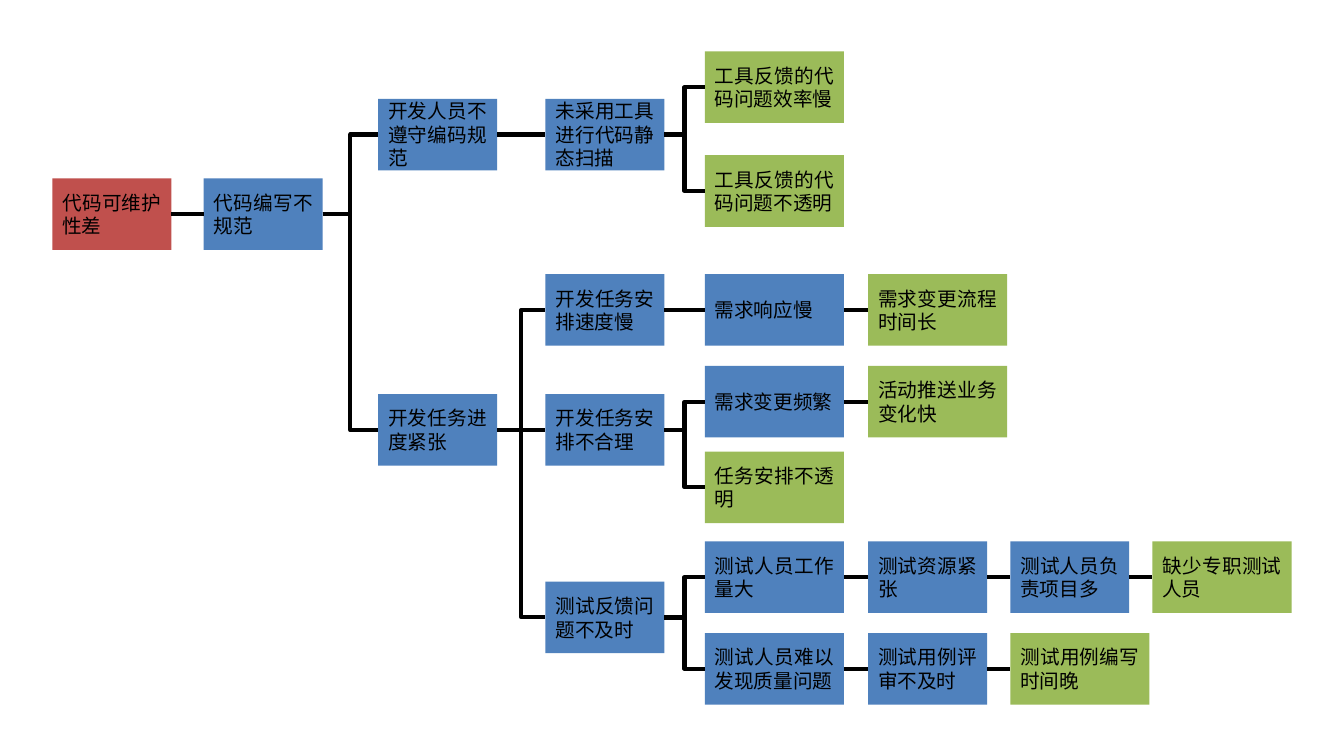
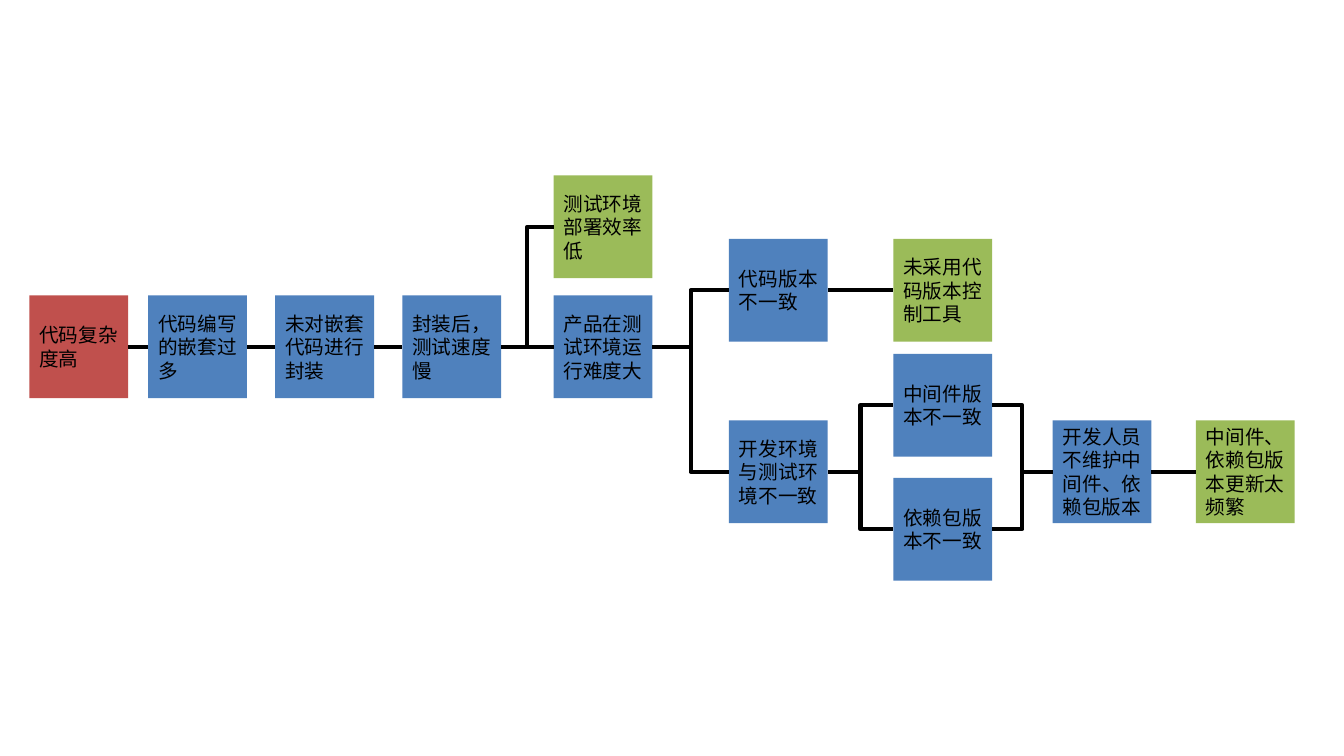
from lxml.etree import SubElement
from pptx import Presentation
from pptx.dml.color import RGBColor
from pptx.enum.shapes import MSO_CONNECTOR, MSO_SHAPE
from pptx.enum.text import MSO_ANCHOR, PP_ALIGN
from pptx.oxml.ns import qn
from pptx.util import Inches, Pt

PROBLEM, CAUSE, ROOT_CAUSE, INK = "C0504D", "4F81BD", "9BBB59", "000000"
FONT = "Noto Sans CJK SC"
PARAGRAPH_FORMAT = {"alignment": PP_ALIGN.JUSTIFY, "line_spacing": Pt(16.8)}
FONT_FORMAT = {"name": FONT, "size": Pt(14)}
LEFT_SITE, RIGHT_SITE = 1, 3

# Each node: text, column, row, colour, texts of the nodes that lead to it.
# "widths" is the usual box width and the width of root causes and wide columns.
TREES = [
    {
        "columns": [0.52, 2.02, 3.75, 5.41, 6.99, 8.61, 10.02, 11.43],
        "rows": [0.51, 0.98, 1.54, 1.77, 2.72, 3.63, 3.91, 4.48, 5.37, 5.77, 6.28],
        "widths": (1.18, 1.38),
        "wide_columns": {4},
        "height": 0.71,
        "nodes": [
            ("代码可维护性差", 0, 3, PROBLEM, []),
            ("代码编写不规范", 1, 3, CAUSE, ["代码可维护性差"]),
            ("开发人员不遵守编码规范", 2, 1, CAUSE, ["代码编写不规范"]),
            ("未采用工具进行代码静态扫描", 3, 1, CAUSE, ["开发人员不遵守编码规范"]),
            ("工具反馈的代码问题效率慢", 4, 0, ROOT_CAUSE, ["未采用工具进行代码静态扫描"]),
            ("工具反馈的代码问题不透明", 4, 2, ROOT_CAUSE, ["未采用工具进行代码静态扫描"]),
            ("开发任务进度紧张", 2, 6, CAUSE, ["代码编写不规范"]),
            ("开发任务安排速度慢", 3, 4, CAUSE, ["开发任务进度紧张"]),
            ("需求响应慢", 4, 4, CAUSE, ["开发任务安排速度慢"]),
            ("需求变更流程时间长", 5, 4, ROOT_CAUSE, ["需求响应慢"]),
            ("开发任务安排不合理", 3, 6, CAUSE, ["开发任务进度紧张"]),
            ("需求变更频繁", 4, 5, CAUSE, ["开发任务安排不合理"]),
            ("活动推送业务变化快", 5, 5, ROOT_CAUSE, ["需求变更频繁"]),
            ("任务安排不透明", 4, 7, ROOT_CAUSE, ["开发任务安排不合理"]),
            ("测试反馈问题不及时", 3, 9, CAUSE, ["开发任务进度紧张"]),
            ("测试人员工作量大", 4, 8, CAUSE, ["测试反馈问题不及时"]),
            ("测试资源紧张", 5, 8, CAUSE, ["测试人员工作量大"]),
            ("测试人员负责项目多", 6, 8, CAUSE, ["测试资源紧张"]),
            ("缺少专职测试人员", 7, 8, ROOT_CAUSE, ["测试人员负责项目多"]),
            ("测试人员难以发现质量问题", 4, 10, CAUSE, ["测试反馈问题不及时"]),
            ("测试用例评审不及时", 5, 10, CAUSE, ["测试人员难以发现质量问题"]),
            ("测试用例编写时间晚", 6, 10, ROOT_CAUSE, ["测试用例评审不及时"]),
        ],
    },
    {
        "columns": [0.29, 1.47, 2.73, 3.99, 5.49, 7.23, 8.86, 10.44, 11.86],
        "rows": [1.74, 2.37, 2.93, 3.51, 4.17, 4.74],
        "widths": (0.98, 0.98),
        "wide_columns": set(),
        "height": 1.02,
        "nodes": [
            ("代码复杂度高", 0, 2, PROBLEM, []),
            ("代码编写的嵌套过多", 1, 2, CAUSE, ["代码复杂度高"]),
            ("未对嵌套代码进行封装", 2, 2, CAUSE, ["代码编写的嵌套过多"]),
            ("封装后，测试速度慢", 3, 2, CAUSE, ["未对嵌套代码进行封装"]),
            ("测试环境部署效率低", 4, 0, ROOT_CAUSE, ["封装后，测试速度慢"]),
            ("产品在测试环境运行难度大", 4, 2, CAUSE, ["封装后，测试速度慢"]),
            ("代码版本不一致", 5, 1, CAUSE, ["产品在测试环境运行难度大"]),
            ("未采用代码版本控制工具", 6, 1, ROOT_CAUSE, ["代码版本不一致"]),
            ("开发环境与测试环境不一致", 5, 4, CAUSE, ["产品在测试环境运行难度大"]),
            ("中间件版本不一致", 6, 3, CAUSE, ["开发环境与测试环境不一致"]),
            ("依赖包版本不一致", 6, 5, CAUSE, ["开发环境与测试环境不一致"]),
            ("开发人员不维护中间件、依赖包版本", 7, 4, CAUSE,
             ["中间件版本不一致", "依赖包版本不一致"]),
            ("中间件、依赖包版本更新太频繁", 8, 4, ROOT_CAUSE,
             ["开发人员不维护中间件、依赖包版本"]),
        ],
    },
]


def paint(colour_format, colour):
    colour_format.rgb = RGBColor.from_string(colour)


deck = Presentation()
deck.slide_width, deck.slide_height = Inches(13.33), Inches(7.5)
blank = deck.slide_layouts[6]

for tree in TREES:
    shapes = deck.slides.add_slide(blank).shapes
    boxes = {}

    for text, column, row, colour, _ in tree["nodes"]:
        is_wide = colour == ROOT_CAUSE or column in tree["wide_columns"]
        box = shapes.add_shape(
            MSO_SHAPE.RECTANGLE,
            Inches(tree["columns"][column]), Inches(tree["rows"][row]),
            Inches(tree["widths"][is_wide]), Inches(tree["height"]))
        box.shadow.inherit = False
        box.fill.solid()
        paint(box.fill.fore_color, colour)
        box.line.fill.background()
        box.text_frame.word_wrap = True
        box.text_frame.vertical_anchor = MSO_ANCHOR.MIDDLE

        paragraph = box.text_frame.paragraphs[0]
        for attribute, value in PARAGRAPH_FORMAT.items():
            setattr(paragraph, attribute, value)
        run = paragraph.add_run()
        run.text = text
        for attribute, value in FONT_FORMAT.items():
            setattr(run.font, attribute, value)
        paint(run.font.color, INK)
        SubElement(run.font._element, qn("a:ea"), typeface=FONT)
        boxes[text] = box

    for text, _, _, _, parents in tree["nodes"]:
        for parent in parents:
            is_level = boxes[parent].top == boxes[text].top
            kind = MSO_CONNECTOR.STRAIGHT if is_level else MSO_CONNECTOR.ELBOW
            branch = shapes.add_connector(kind, 0, 0, 0, 0)
            branch.begin_connect(boxes[parent], RIGHT_SITE)
            branch.end_connect(boxes[text], LEFT_SITE)
            branch.line.width = Pt(3)
            paint(branch.line.color, INK)
            SubElement(branch._element.spPr, qn("a:effectLst"))

deck.save("out.pptx")
